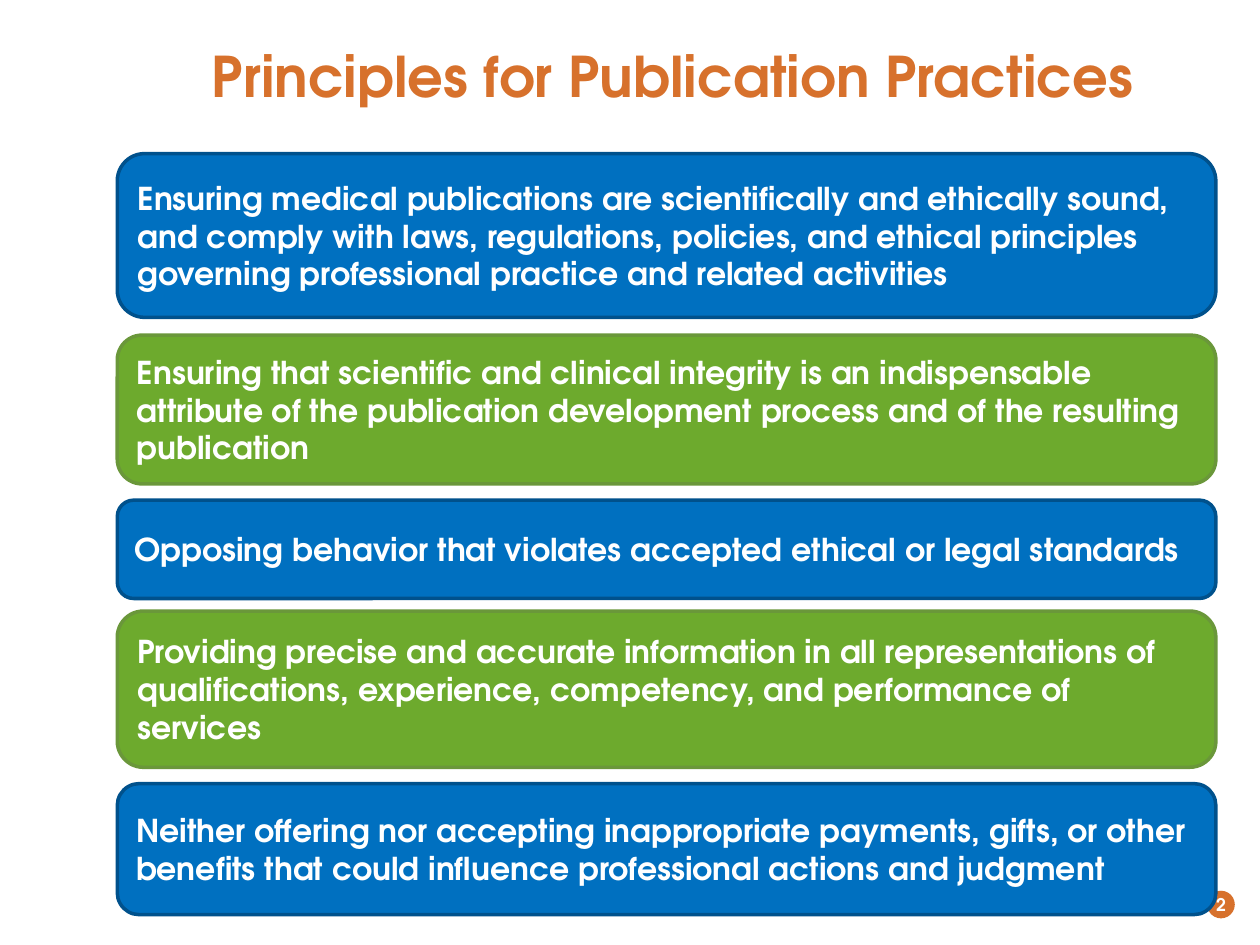
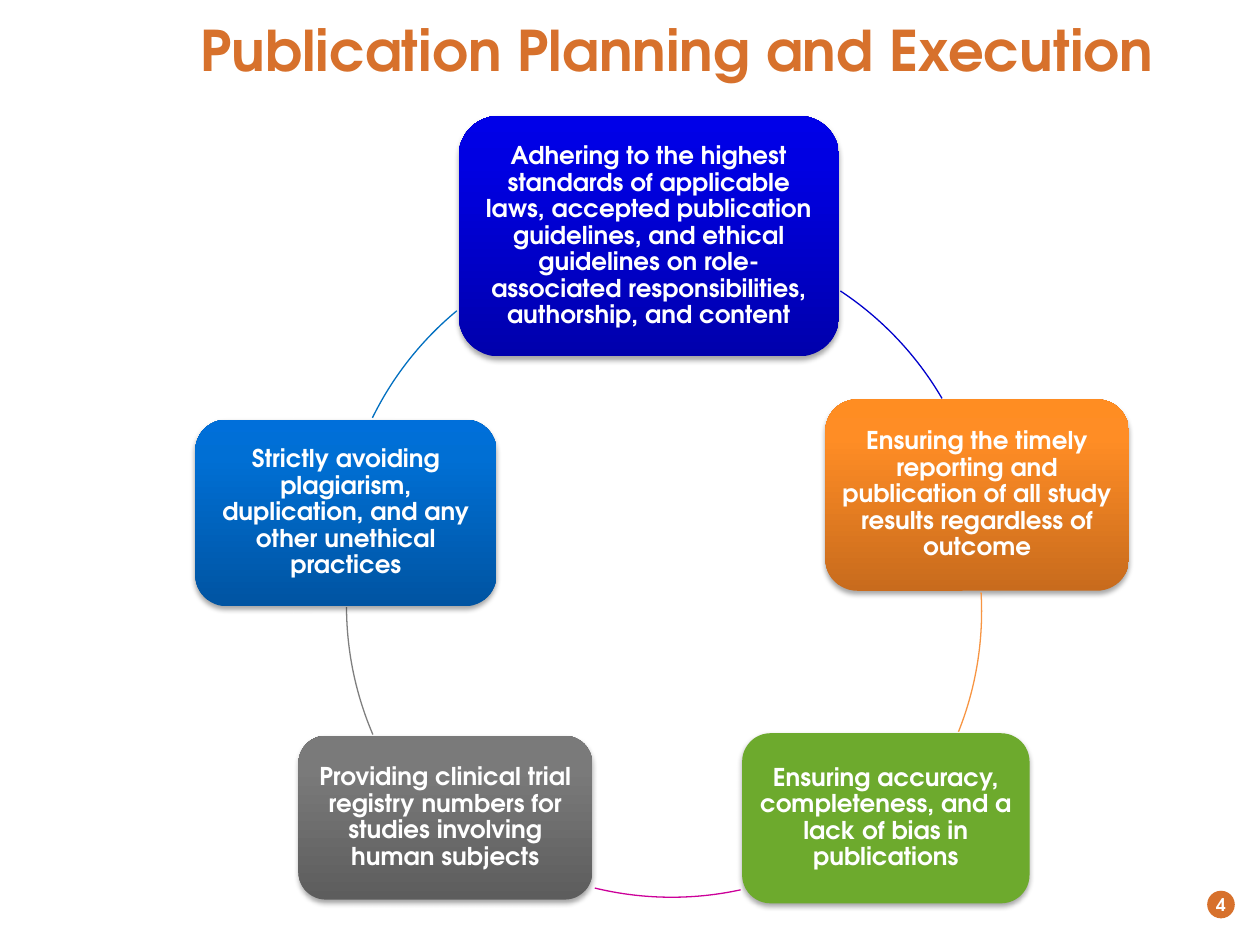
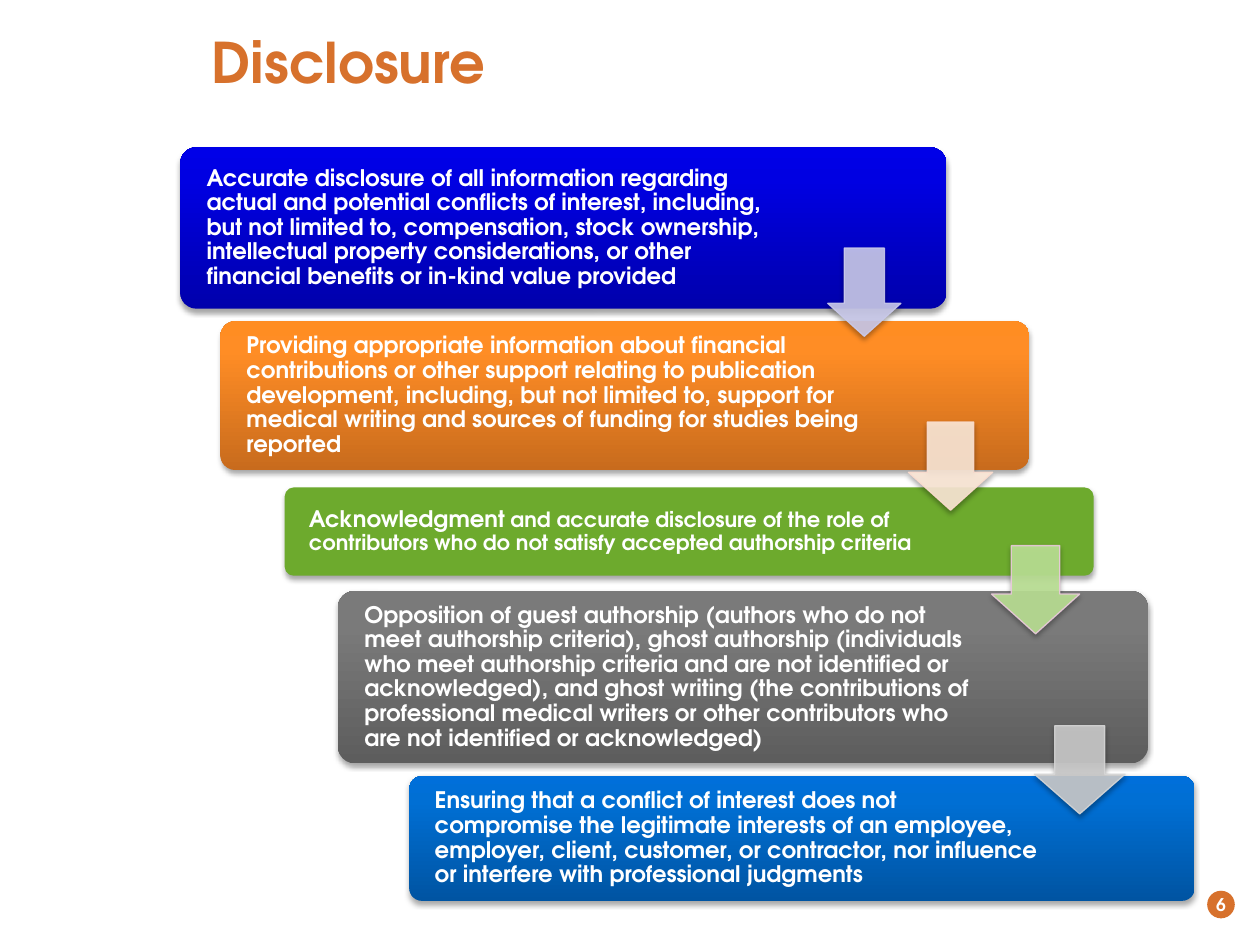
from dataclasses import dataclass
from typing import Optional

import pptx
import pptx.dml.color
import pptx.enum.shapes
import pptx.enum.text
import pptx.oxml
import pptx.oxml.ns
import pptx.util
from lxml import etree

Pt = pptx.util.Pt
qn = pptx.oxml.ns.qn
Shapes = pptx.enum.shapes.MSO_SHAPE
Align = pptx.enum.text.PP_ALIGN
Anchor = pptx.enum.text.MSO_ANCHOR


@dataclass(frozen=True)
class Theme:
    font: str = "TeX Gyre Adventor"
    accent: str = "D7712C"
    white: str = "FFFFFF"
    shadow: str = "000000"
    azure: str = "0070C0"
    azure_edge: str = "00518C"
    leaf: str = "6DAA2D"
    leaf_edge: str = "6A973A"
    navy_fade: tuple = ("0000AC", "0000E2", "0000E8")
    orange_fade: tuple = ("C86B1D", "FF8D25", "FF8D22")
    gray_fade: tuple = ("5D5D5D", "7A7A7A", "7B7B7B")
    blue_fade: tuple = ("0054A2", "006FD4", "006FDA")
    leaf_flat: tuple = ("6DAA2D",)
    fade_stops: tuple = (0, 80, 100)
    title_size: float = 32
    principle_size: float = 18
    cycle_size: float = 14
    step_size: float = 13
    small_step_size: float = 12
    number_size: float = 10


THEME = Theme()


@dataclass(frozen=True)
class Frame:
    left: float
    top: float
    width: float
    height: float

    def points(self) -> tuple:
        return Pt(self.left), Pt(self.top), Pt(self.width), Pt(self.height)


@dataclass(frozen=True)
class Span:
    text: str
    size: float
    color: str = THEME.white


@dataclass(frozen=True)
class Panel:
    frame: Frame
    spans: tuple
    colors: tuple
    corner: float
    insets: tuple
    edge: Optional[str] = None
    align: int = Align.LEFT
    spacing: float = 1.0


@dataclass(frozen=True)
class Arc:
    center_x: float
    center_y: float
    start: float
    end: float
    color: str


@dataclass(frozen=True)
class Arrow:
    frame: Frame
    fill: str
    line: str


def rgb(color: str) -> pptx.dml.color.RGBColor:
    return pptx.dml.color.RGBColor.from_string(color)


def write(shape, spans: tuple, align: int, anchor: int, insets: tuple,
          spacing: float = 1.0, wrap: bool = True) -> None:
    box = shape.text_frame
    box.word_wrap = wrap
    box.auto_size = pptx.enum.text.MSO_AUTO_SIZE.NONE
    box.vertical_anchor = anchor
    box.margin_left, box.margin_top, box.margin_right, box.margin_bottom = map(Pt, insets)
    para = box.paragraphs[0]
    para.alignment = align
    para.line_spacing = spacing
    for span in spans:
        run = para.add_run()
        run.text = span.text
        run.font.name = THEME.font
        run.font.size = Pt(span.size)
        run.font.bold = True
        run.font.color.rgb = rgb(span.color)


def add_shape(page, kind: int, frame: Frame, adjustments: tuple = ()):
    shape = page.shapes.add_shape(kind, *frame.points())
    shape.shadow.inherit = False
    for index, value in enumerate(adjustments):
        shape.adjustments[index] = value
    return shape


def paint(shape, colors: tuple) -> None:
    if len(colors) == 1:
        shape.fill.solid()
        shape.fill.fore_color.rgb = rgb(colors[0])
        return
    shape.fill.gradient()
    shape.fill.gradient_angle = 90
    stops = next(shape._element.spPr.iter(qn("a:gsLst")))
    for stop in list(stops):
        stops.remove(stop)
    for position, color in zip(THEME.fade_stops, colors):
        stop = etree.SubElement(stops, qn("a:gs"), pos=str(position * 1000))
        etree.SubElement(stop, qn("a:srgbClr"), val=color)


def outline(shape, color: Optional[str], width: float) -> None:
    if color is None:
        shape.line.fill.background()
        return
    shape.line.color.rgb = rgb(color)
    shape.line.width = Pt(width)


def add_shadow(shape) -> None:
    effects = shape._element.spPr.find(qn("a:effectLst"))
    shadow = etree.SubElement(effects, qn("a:outerShdw"), blurRad=str(Pt(3.1)),
                              dist=str(Pt(1.8)), dir="5400000", rotWithShape="0")
    color = etree.SubElement(shadow, qn("a:srgbClr"), val=THEME.shadow)
    etree.SubElement(color, qn("a:alpha"), val="35000")


def add_panel(page, panel: Panel) -> None:
    shape = add_shape(page, Shapes.ROUNDED_RECTANGLE, panel.frame, (panel.corner,))
    paint(shape, panel.colors)
    outline(shape, panel.edge, 2)
    if panel.edge is None:
        add_shadow(shape)
    write(shape, panel.spans, panel.align, Anchor.MIDDLE, panel.insets, panel.spacing)


def add_arc(page, arc: Arc) -> None:
    radius = 186.5
    frame = Frame(arc.center_x - radius, arc.center_y - radius, 2 * radius, 2 * radius)
    shape = add_shape(page, Shapes.ARC, frame, (arc.start * 0.6, arc.end * 0.6))
    shape.fill.background()
    outline(shape, arc.color, 0.75)


def add_arrow(page, arrow: Arrow) -> None:
    shape = add_shape(page, Shapes.DOWN_ARROW, arrow.frame, (0.55, 0.45))
    paint(shape, (arrow.fill,))
    outline(shape, arrow.line, 0.75)
    for color in shape._element.spPr.iter(qn("a:srgbClr")):
        etree.SubElement(color, qn("a:alpha"), val="90000")
    add_shadow(shape)


def start_page(deck, title: str, frame: Frame, number: str,
               anchor: int = Anchor.BOTTOM, top_inset: float = 3.6):
    page = deck.slides.add_slide(deck.slide_layouts[5])
    heading = page.shapes.title
    heading.left, heading.top, heading.width, heading.height = frame.points()
    write(heading, (Span(title, THEME.title_size, THEME.accent),), Align.LEFT, anchor,
          (7.2, top_inset, 7.2, 3.6))
    badge = add_shape(page, Shapes.OVAL, Frame(689.8, 509, 15.8, 15.8))
    paint(badge, (THEME.accent,))
    outline(badge, None, 0)
    write(badge, (Span(number, THEME.number_size),), Align.CENTER, Anchor.MIDDLE,
          (0, 0, 0, 0), wrap=False)
    return page


def build_principles(deck) -> None:
    page = start_page(deck, "Principles for Publication Practices",
                      Frame(113.8, 7.9, 570.2, 57.6), "2")
    blue = ((THEME.azure,), THEME.azure_edge)
    green = ((THEME.leaf,), THEME.leaf_edge)
    principles = (
        (87.8, 93.6, "Ensuring medical publications are scientifically and ethically sound, and comply with laws, regulations, policies, and ethical principles governing professional practice and related activities"),
        (191.5, 85, "Ensuring that scientific and clinical integrity is an indispensable attribute of the publication development process and of the resulting publication"),
        (285.8, 56.2, "Opposing behavior that violates accepted ethical or legal standards"),
        (349.2, 89.3, "Providing precise and accurate information in all representations of qualifications, experience, competency, and performance of services"),
        (447.8, 74.9, "Neither offering nor accepting inappropriate payments, gifts, or other benefits that could influence professional actions and judgment"),
    )
    for index, (top, height, text) in enumerate(principles):
        colors, edge = (blue, green)[index % 2]
        add_panel(page, Panel(Frame(67, top, 627.8, height),
                              (Span(text, THEME.principle_size),), colors, 0.167,
                              (7.2, 3.6, 7.2, 3.6), edge))


def build_cycle(deck) -> None:
    page = start_page(deck, "Publication Planning and Execution",
                      Frame(107.3, 8.6, 570.2, 82.1), "4", Anchor.TOP, 0)
    stages = (
        (Frame(262.1, 66.2, 217.4, 137.5), THEME.navy_fade,
         "Adhering to the highest standards of applicable laws, accepted publication guidelines, and ethical guidelines on role-associated responsibilities, authorship, and content",
         Arc(377.3, 321.8, 303.5, 329.7, "0000CC")),
        (Frame(471.6, 228.2, 173.5, 109.4), THEME.orange_fade,
         "Ensuring the timely reporting and publication of all study results regardless of outcome",
         Arc(374.4, 349.2, 356.7, 21.7, "F79543")),
        (Frame(424.1, 419, 164.2, 97.2), THEME.leaf_flat,
         "Ensuring accuracy, completeness, and a lack of bias in publications",
         Arc(383.8, 326.2, 77.8, 103.6, "CC0099")),
        (Frame(170.6, 420.5, 167.8, 93.6), THEME.gray_fade,
         "Providing clinical trial registry numbers for studies involving human subjects",
         Arc(384.5, 346.3, 156.8, 179.8, "7F7F7F")),
        (Frame(111.6, 239.8, 172.1, 106.6), THEME.blue_fade,
         "Strictly avoiding plagiarism, duplication, and any other unethical practices",
         Arc(380.2, 321.1, 206.2, 230.3, "006FC0")),
    )
    for frame, colors, text, arc in stages:
        add_panel(page, Panel(frame, (Span(text, THEME.cycle_size),), colors, 0.167,
                              (4.2, 4.2, 4.2, 4.2), align=Align.CENTER, spacing=0.9))
        add_arc(page, arc)


def build_disclosure(deck) -> None:
    page = start_page(deck, "Disclosure", Frame(113.8, 7.9, 570.2, 49.7), "6")
    size = THEME.step_size
    steps = (
        (Frame(103, 84.2, 437.8, 92.2), THEME.navy_fade, 87.8,
         (Span("Accurate disclosure of all information regarding actual and potential conflicts of interest, including, but not limited to, compensation, stock ownership, intellectual property considerations, or other financial benefits or in-kind value provided", size),)),
        (Frame(126, 183.6, 462.2, 85), THEME.orange_fade, 89.3,
         (Span("Providing appropriate information about financial contributions or other support relating to publication development, including, but not limited to, support for medical writing and sources of funding for studies being reported", size),)),
        (Frame(162.7, 278.6, 462.2, 50.4), THEME.leaf_flat, 89.3,
         (Span("Acknowledgment", size),
          Span(" and accurate disclosure of the role of contributors who do not satisfy accepted authorship criteria", THEME.small_step_size))),
        (Frame(193, 337.7, 463, 98.6), THEME.gray_fade, 88.6,
         (Span("Opposition of guest authorship (authors who do not meet authorship criteria), ghost authorship (individuals who meet authorship criteria and are not identified or acknowledged), and ghost writing (the contributions of professional medical writers or other contributors who are not identified or acknowledged)", size),)),
        (Frame(234, 443.5, 448.6, 71.3), THEME.blue_fade, 86.4,
         (Span("Ensuring that a conflict of interest does not compromise the legitimate interests of an employee, employer, client, customer, or contractor, nor influence or interfere with professional judgments", size),)),
    )
    for frame, colors, right_inset, spans in steps:
        add_panel(page, Panel(frame, spans, colors, 0.1,
                              (12.4, 3.6, right_inset, 3.6), spacing=0.9))
    arrows = (
        Arrow(Frame(473, 141.8, 41.8, 50.4), "CACAEB", "CACAEB"),
        Arrow(Frame(519.1, 241.2, 48.2, 50.4), "FDE9D8", "FBDCCE"),
        Arrow(Frame(566.6, 311.8, 50.4, 50.4), "BCE295", "EBCADD"),
        Arrow(Frame(591.1, 414.7, 51.8, 50.4), "CBCBCB", "D7D7D7"),
    )
    for arrow in arrows:
        add_arrow(page, arrow)


def main() -> None:
    deck = pptx.Presentation()
    deck.slide_width, deck.slide_height = Pt(720), Pt(540)
    build_principles(deck)
    build_cycle(deck)
    build_disclosure(deck)
    deck.save("out.pptx")


if __name__ == "__main__":
    main()
